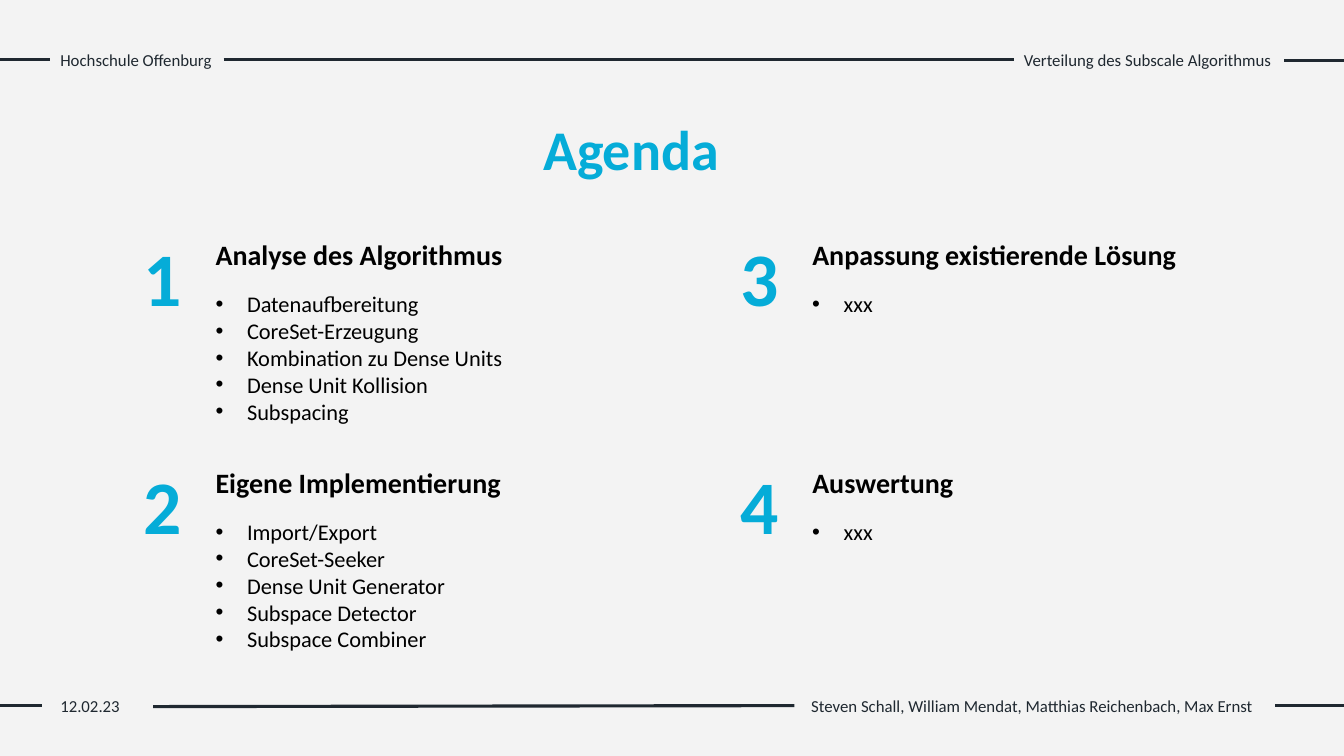
"""Build the agenda slide with four numbered topics between header and footer rules."""
import dataclasses

import lxml.etree
import pptx
import pptx.dml.color
import pptx.enum.shapes
import pptx.enum.text
import pptx.oxml.ns
import pptx.util

Pt = pptx.util.Pt
RGB = pptx.dml.color.RGBColor.from_string
qn = pptx.oxml.ns.qn


@dataclasses.dataclass(frozen=True)
class Theme:
    font: str = "Calibri"
    dark: str = "1F2830"
    paper: str = "F3F3F3"
    accent: str = "05ACD8"
    text: str = "000000"
    small: float = 12
    body: float = 16
    heading: float = 20
    title: float = 40
    number: float = 54
    rule: float = 2.25


THEME = Theme()
WIDTH, HEIGHT = 960, 540
INDENT = 22.5
COLUMN_X, COLUMN_STEP = 95.76, 426.24
ROW_Y, ROW_STEP = 161.28, 162.72
ROWS = 2

TOPICS = [
    ("Analyse des Algorithmus", 221.04,
     ["Datenaufbereitung", "CoreSet-Erzeugung", "Kombination zu Dense Units",
      "Dense Unit Kollision", "Subspacing"]),
    ("Eigene Implementierung", 220.32,
     ["Import/Export", "CoreSet-Seeker", "Dense Unit Generator",
      "Subspace Detector", "Subspace Combiner"]),
    ("Anpassung existierende Lösung", 277.2, ["xxx"]),
    ("Auswertung", 115.92, ["xxx"]),
]

RULES = [
    (0, 42.5, 36, 42.5),
    (159.84, 42.5, 724.32, 42.5),
    (917.28, 43.2, WIDTH, 43.2),
    (0, 504, 30.24, 504),
    (109.44, 504.72, 567.36, 504),
    (910.8, 504, WIDTH, 504),
]


def add_background(s):
    """Fill the slide and lay the light paper over it."""
    s.background.fill.solid()
    s.background.fill.fore_color.rgb = RGB(THEME.dark)
    sp = s.shapes.add_shape(pptx.enum.shapes.MSO_SHAPE.RECTANGLE,
                            0, 0, Pt(WIDTH), Pt(HEIGHT))
    sp.shadow.inherit = False
    sp.fill.solid()
    sp.fill.fore_color.rgb = RGB(THEME.paper)
    sp.line.fill.background()


def add_rule(s, x1, y1, x2, y2):
    """Draw one dark rule."""
    line = s.shapes.add_connector(pptx.enum.shapes.MSO_CONNECTOR.STRAIGHT,
                                  Pt(x1), Pt(y1), Pt(x2), Pt(y2))
    line.line.color.rgb = RGB(THEME.dark)
    line.line.width = Pt(THEME.rule)
    lxml.etree.SubElement(line._element.spPr, qn("a:effectLst"))


def add_text(s, x, y, w, h, lines, size, color, bold=False, wrap=False, grow=True):
    """Add a text box with one paragraph per line and return its frame."""
    tf = s.shapes.add_textbox(Pt(x), Pt(y), Pt(w), Pt(h)).text_frame
    tf.word_wrap = wrap
    auto = pptx.enum.text.MSO_AUTO_SIZE
    tf.auto_size = auto.SHAPE_TO_FIT_TEXT if grow else auto.NONE
    tf.text = "\n".join(lines)
    for p in tf.paragraphs:
        for r in p.runs:
            r.font.name = THEME.font
            r.font.size = Pt(size)
            r.font.bold = bold
            r.font.color.rgb = RGB(color)
    return tf


def add_bullets(s, x, y, w, h, lines):
    """Add a bulleted list with a hanging indent."""
    tf = add_text(s, x, y, w, h, lines, THEME.body, THEME.text, wrap=True)
    for p in tf.paragraphs:
        pPr = p._p.get_or_add_pPr()
        pPr.set("marL", str(Pt(INDENT)))
        pPr.set("indent", str(-Pt(INDENT)))
        lxml.etree.SubElement(pPr, qn("a:buFont")).set("typeface", "Arial")
        lxml.etree.SubElement(pPr, qn("a:buChar")).set("char", "•")


def add_topic(s, index, heading, width, items):
    """Add one numbered topic in its cell, filling columns first."""
    column, row = divmod(index, ROWS)
    x = COLUMN_X + column * COLUMN_STEP
    y = ROW_Y + row * ROW_STEP
    add_text(s, x + 51.12, y + 5.04, width, 31.68, [heading],
             THEME.heading, THEME.text, bold=True)
    add_bullets(s, x + 51.12, y + 42.48, 268.56, 7.2 + 19.44 * len(items), items)
    add_text(s, x, y, 42.48, 72.72, [str(index + 1)],
             THEME.number, THEME.accent, bold=True)


def add_margins(s):
    """Add the rules and small texts of header and footer."""
    for rule in RULES:
        add_rule(s, *rule)
    small = THEME.small, THEME.dark
    add_text(s, 36, 31.68, 123.84, 21.6, ["Hochschule Offenburg"], *small)
    add_text(s, 724.32, 31.68, 192.96, 21.6,
             ["Verteilung des Subscale Algorithmus"], *small)
    date = add_text(s, 36, 489.6, 216, 28.8, ["12.02.23"], *small, wrap=True, grow=False)
    date.vertical_anchor = pptx.enum.text.MSO_ANCHOR.MIDDLE
    add_text(s, 572.4, 493.2, 333.36, 21.6,
             ["Steven Schall, William Mendat, Matthias Reichenbach, Max Ernst"],
             *small, wrap=True)


def main():
    """Build and save the slide."""
    prs = pptx.Presentation()
    prs.slide_width, prs.slide_height = Pt(WIDTH), Pt(HEIGHT)
    s = prs.slides.add_slide(prs.slide_layouts[6])
    add_background(s)
    add_margins(s)
    add_text(s, 380.88, 78.48, 141.12, 55.44, ["Agenda"],
             THEME.title, THEME.accent, bold=True)
    for index, topic in enumerate(TOPICS):
        add_topic(s, index, *topic)
    prs.save("out.pptx")


if __name__ == "__main__":
    main()
